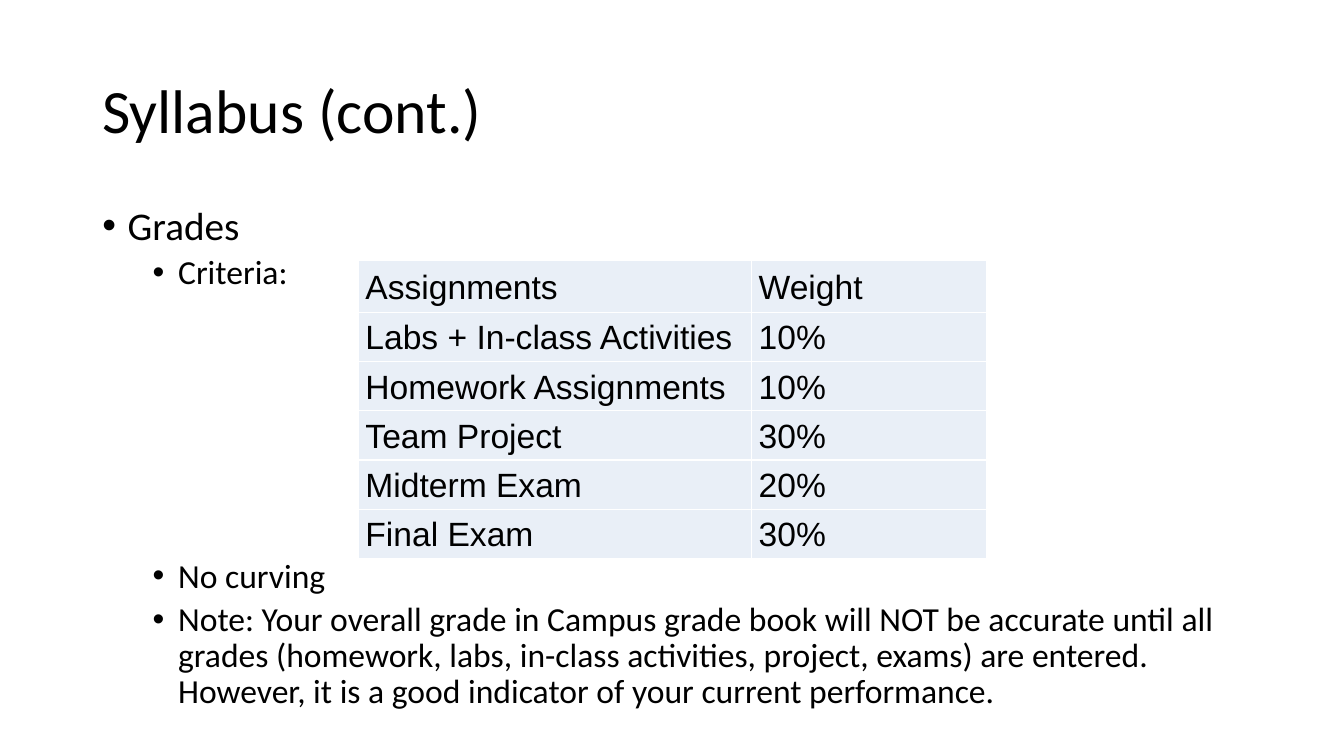
from lxml.etree import SubElement
from pptx import Presentation
from pptx.dml.color import RGBColor as RGB
from pptx.enum.text import MSO_ANCHOR as Anchor
from pptx.oxml.ns import qn
from pptx.util import Cm, Pt

BLACK, WHITE, PALE_BLUE = "000000", "FFFFFF", "E9EFF7"
TITLE_BOX = (2.33, 1.02, 29.21, 3.68)
BODY_BOX = (2.33, 5.07, 29.21, 13.43)
TABLE_OFFSET = (6.69, 1.48)
TABLE_GAP = 191

BULLETS = [
    (0, "Grades", 28, 0),
    (1, "Criteria:", 24, 5),
    (1, "No curving", 24, TABLE_GAP),
    (1, "Note: Your overall grade in Campus grade book will NOT be accurate until all "
        "grades (homework, labs, in-class activities, project, exams) are entered. "
        "However, it is a good indicator of your current performance.", 24, 5),
]
WEIGHTS = [
    ("Assignments", "Weight"),
    ("Labs + In-class Activities", "10%"),
    ("Homework Assignments", "10%"),
    ("Team Project", "30%"),
    ("Midterm Exam", "20%"),
    ("Final Exam", "30%"),
]


def color(value):
    return RGB.from_string(value)


def add_run(p, text, size, font="Calibri"):
    r = p.add_run()
    r.text = text
    r.font.size = Pt(size)
    r.font.name = font
    r.font.color.rgb = color(BLACK)


def add_text_frame(s, box, anchor):
    tf = s.shapes.add_textbox(*map(Cm, box)).text_frame
    tf.word_wrap = True
    tf.vertical_anchor = anchor
    return tf


def set_bullet(p, level):
    p.level = level
    pPr = p._p.get_or_add_pPr()
    pPr.set("marL", str(Cm(0.64 + 1.27 * level)))
    pPr.set("indent", str(-Cm(0.64)))
    SubElement(pPr, qn("a:buFont"), typeface="Arial")
    SubElement(pPr, qn("a:buChar"), char="•")


def add_title(s, box):
    p = add_text_frame(s, box, Anchor.MIDDLE).paragraphs[0]
    p.line_spacing = 0.9
    add_run(p, "Syllabus (cont.)", 44)


def add_bullets(s, box):
    tf = add_text_frame(s, box, Anchor.TOP)
    for i, (level, text, size, before) in enumerate(BULLETS):
        p = tf.add_paragraph() if i else tf.paragraphs[0]
        set_bullet(p, level)
        p.line_spacing = 0.9
        p.space_before = Pt(before)
        add_run(p, text, size)


def set_borders(cell, value):
    tcPr = cell._tc.get_or_add_tcPr()
    for side in ("a:lnL", "a:lnR", "a:lnT", "a:lnB"):
        ln = SubElement(tcPr, qn(side), w=str(Pt(1)))
        fill = SubElement(ln, qn("a:solidFill"))
        SubElement(fill, qn("a:srgbClr"), val=value)


def fill_cell(cell, text):
    set_borders(cell, WHITE)
    cell.fill.solid()
    cell.fill.fore_color.rgb = color(PALE_BLUE)
    cell.vertical_anchor = Anchor.MIDDLE
    cell.margin_left = cell.margin_right = Cm(0.19)
    cell.margin_top = cell.margin_bottom = 0
    p = cell.text_frame.paragraphs[0]
    p.line_spacing = 1.07
    add_run(p, text, 24, "Arial")


def add_weights(s, left, top):
    widths = (9.91, 5.94)
    heights = [1.32] + [1.24] * (len(WEIGHTS) - 1)
    table = s.shapes.add_table(len(heights), len(widths), Cm(left), Cm(top),
                               Cm(sum(widths)), Cm(sum(heights))).table
    for column, width in zip(table.columns, widths):
        column.width = Cm(width)
    for row, height, texts in zip(table.rows, heights, WEIGHTS):
        row.height = Cm(height)
        for cell, text in zip(row.cells, texts):
            fill_cell(cell, text)


def add_grades(s, box):
    add_bullets(s, box)
    add_weights(s, box[0] + TABLE_OFFSET[0], box[1] + TABLE_OFFSET[1])


def main():
    prs = Presentation()
    prs.slide_width, prs.slide_height = Cm(33.87), Cm(19.05)
    s = prs.slides.add_slide(prs.slide_layouts[6])
    add_title(s, TITLE_BOX)
    add_grades(s, BODY_BOX)
    prs.save("out.pptx")


if __name__ == "__main__":
    main()
